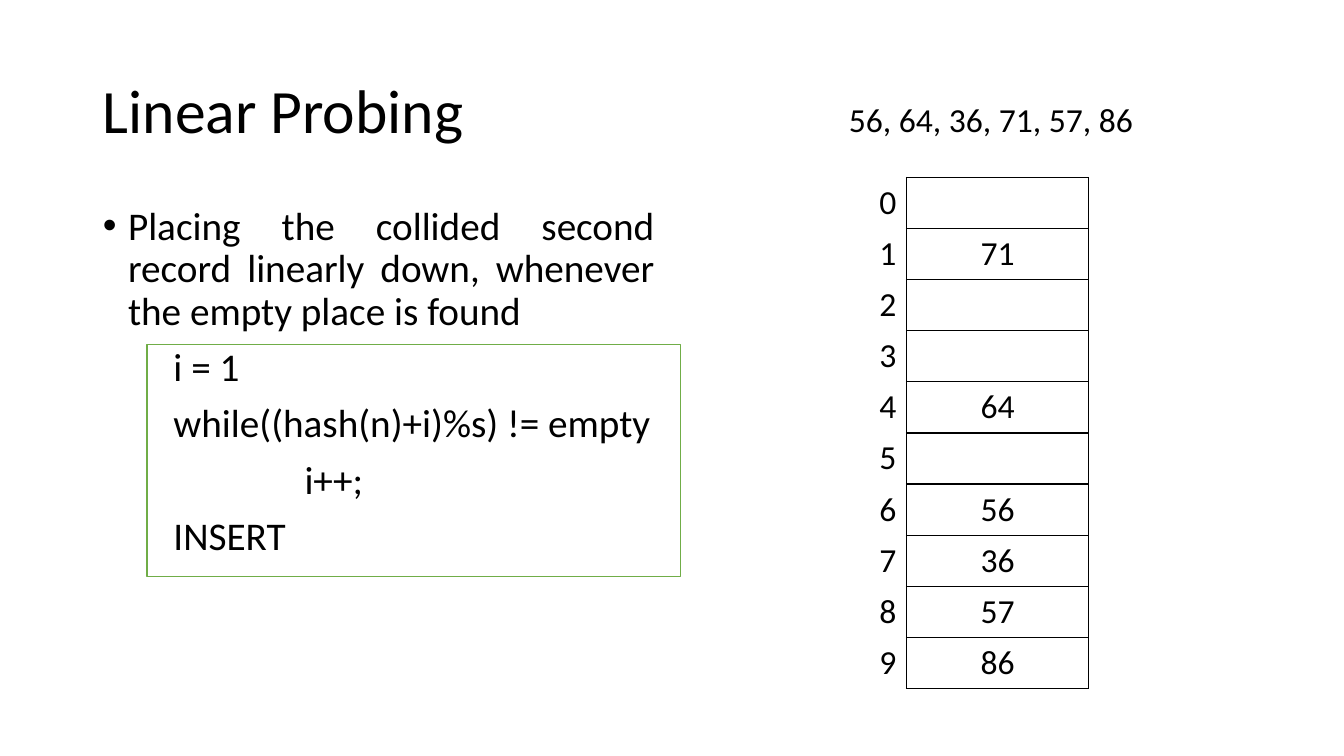
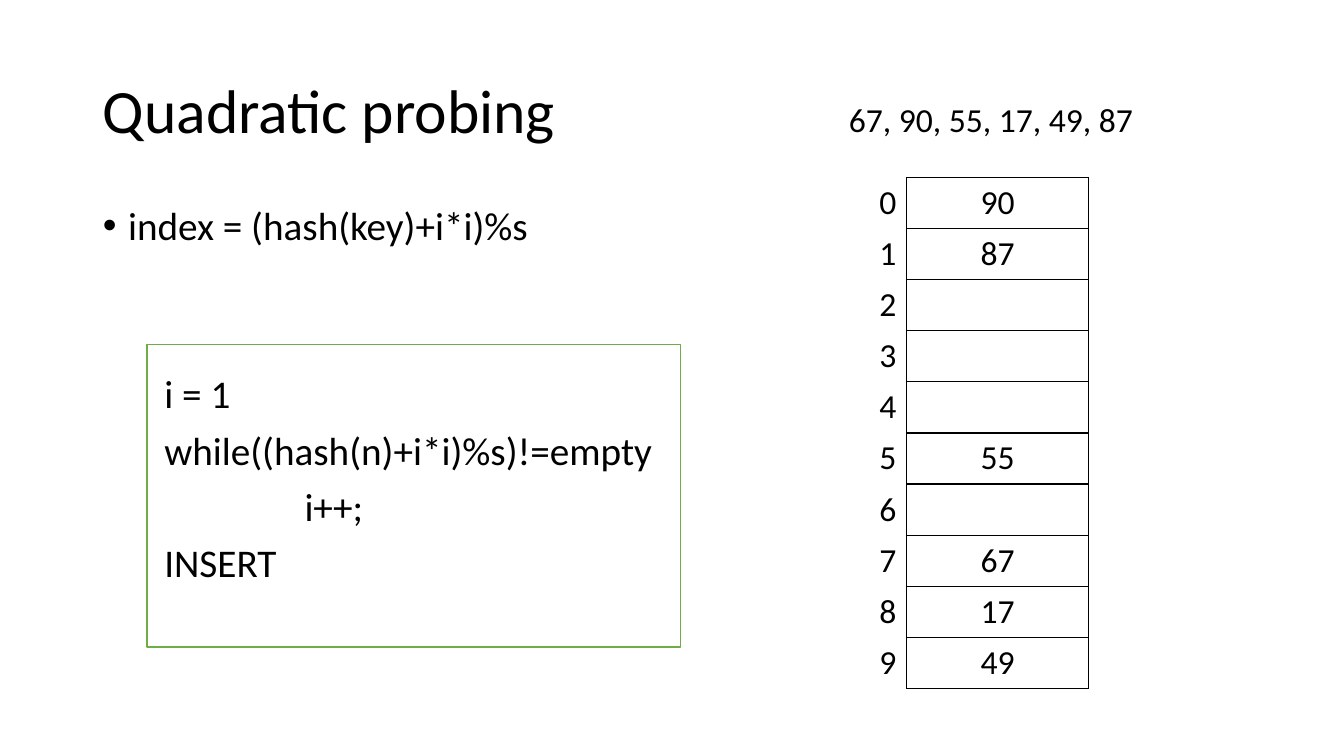
from lxml import etree
from pptx import Presentation
from pptx.dml.color import RGBColor
from pptx.enum.shapes import MSO_SHAPE
from pptx.enum.text import MSO_ANCHOR, MSO_AUTO_SIZE, PP_ALIGN
from pptx.oxml.ns import qn
from pptx.util import Inches, Pt

LEFT, CENTER, RIGHT, JUSTIFY = PP_ALIGN.LEFT, PP_ALIGN.CENTER, PP_ALIGN.RIGHT, PP_ALIGN.JUSTIFY
MIDDLE, TOP = MSO_ANCHOR.MIDDLE, MSO_ANCHOR.TOP
NO_FIT = MSO_AUTO_SIZE.NONE
RECTANGLE = MSO_SHAPE.RECTANGLE

COLORS = {"text": "000000", "box": "FFFFFF", "outline": "70AD47", "grid": "000000"}
FONT = "Calibri"
SIZES = {"title": 44, "body": 28, "table": 24}
SLOTS = 10

TITLE_AREA = (0.92, 0.4, 11.5, 1.45)
BODY_AREA = (0.92, 2, 5.67, 4.76)
KEYS_AREA = (8.32, 0.93, 3.04, 0.5)
TABLE_LEFT, TABLE_TOP = 8.32, 1.76
COLUMNS, ROW_HEIGHT = (0.67, 1.81), 0.5
BOX_LEFT, BOX_TOP, BOX_WIDTH = 1.46, 3.42, 5.29
NESTED_INDENT = 2

SLIDES = [
    {
        "title": "Linear Probing",
        "bullet": "Placing the collided second record linearly down, whenever the empty place is found",
        "code": ["i = 1", "while((hash(n)+i)%s) != empty", "\ti++;", "INSERT"],
        "code_indent": 0.7, "code_gap": 10, "box_height": 2.3,
        "keys": [56, 64, 36, 71, 57, 86], "power": 1,
    },
    {
        "title": "Quadratic probing",
        "bullet": "index = (hash(key)+i*i)%s",
        "code": ["i = 1", "while((hash(n)+i*i)%s)!=empty", "\ti++;", "INSERT"],
        "code_indent": 0.61, "code_gap": 90, "box_height": 3,
        "keys": [67, 90, 55, 17, 49, 87], "power": 2,
    },
]


def color(name):
    return RGBColor.from_string(COLORS[name])


def inches(area):
    return [Inches(length) for length in area]


def place(shape, area):
    shape.left, shape.top, shape.width, shape.height = inches(area)


def write(para, text, size, align=LEFT):
    para.alignment = align
    span = para.add_run()
    span.text = text
    span.font.name = FONT
    span.font.size = Pt(SIZES[size])
    span.font.color.rgb = color("text")


def set_indent(para, margin, bullet=None):
    props = para._p.get_or_add_pPr()
    props.set("marL", str(Inches(margin)))
    props.set("indent", str(-Inches(margin) if bullet else 0))
    if bullet:
        etree.SubElement(props, qn("a:buFont"), typeface="Arial")
        etree.SubElement(props, qn("a:buChar"), char=bullet)
    else:
        etree.SubElement(props, qn("a:buNone"))


def set_borders(cell, sides):
    props = cell._tc.get_or_add_tcPr()
    for position, side in enumerate(sides):
        line = etree.Element(qn("a:ln" + side), w=str(Pt(1)))
        fill = etree.SubElement(line, qn("a:solidFill"))
        etree.SubElement(fill, qn("a:srgbClr"), val=COLORS["grid"])
        props.insert(position, line)


def probe(keys, power):
    table = [None] * SLOTS
    for key in keys:
        step = 0
        while table[(key + step ** power) % SLOTS] is not None:
            step += 1
        table[(key + step ** power) % SLOTS] = key
    return table


def add_code_box(page, height):
    box = page.shapes.add_shape(RECTANGLE, *inches((BOX_LEFT, BOX_TOP, BOX_WIDTH, height)))
    box.shadow.inherit = False
    box.fill.solid()
    box.fill.fore_color.rgb = color("box")
    box.line.color.rgb = color("outline")
    box.line.width = Pt(1)
    page.shapes._spTree.insert(2, box._element)


def fill_title(page, text):
    frame = page.shapes.title.text_frame
    frame.auto_size = NO_FIT
    frame.vertical_anchor = MIDDLE
    para = frame.paragraphs[0]
    para.line_spacing = 0.9
    write(para, text, "title")


def fill_body(page, content):
    frame = page.placeholders[1].text_frame
    frame.auto_size = NO_FIT
    frame.vertical_anchor = TOP
    para = frame.paragraphs[0]
    set_indent(para, 0.25, "•")
    para.line_spacing = 0.9
    para.space_before = Pt(0)
    write(para, content["bullet"], "body", JUSTIFY)
    for number, code in enumerate(content["code"]):
        para = frame.add_paragraph()
        nested = code.startswith("\t")
        set_indent(para, NESTED_INDENT if nested else content["code_indent"])
        para.line_spacing = 0.9
        para.space_before = Pt(10 if number else content["code_gap"])
        write(para, code.strip(), "body")


def add_hash_table(page, values):
    area = (TABLE_LEFT, TABLE_TOP, sum(COLUMNS), ROW_HEIGHT * SLOTS)
    table = page.shapes.add_table(SLOTS, len(COLUMNS), *inches(area)).table
    table.first_row = table.horz_banding = False
    for column, width in zip(table.columns, COLUMNS):
        column.width = Inches(width)
    for slot, value in enumerate(values):
        label, entry = table.cell(slot, 0), table.cell(slot, 1)
        for cell, sides in ((label, "R"), (entry, "LRTB")):
            cell.fill.background()
            set_borders(cell, sides)
        write(label.text_frame.paragraphs[0], str(slot), "table", RIGHT)
        if value is not None:
            write(entry.text_frame.paragraphs[0], str(value), "table", CENTER)


def add_keys(page, keys):
    frame = page.shapes.add_textbox(*inches(KEYS_AREA)).text_frame
    frame.word_wrap = False
    write(frame.paragraphs[0], ", ".join(map(str, keys)), "table")


def main():
    deck = Presentation()
    deck.slide_width, deck.slide_height = Inches(13.33), Inches(7.5)
    layout = deck.slide_layouts[1]
    place(layout.placeholders[0], TITLE_AREA)
    place(layout.placeholders[1], BODY_AREA)
    for content in SLIDES:
        page = deck.slides.add_slide(layout)
        add_code_box(page, content["box_height"])
        fill_title(page, content["title"])
        fill_body(page, content)
        add_hash_table(page, probe(content["keys"], content["power"]))
        add_keys(page, content["keys"])
    deck.save("out.pptx")


if __name__ == "__main__":
    main()
